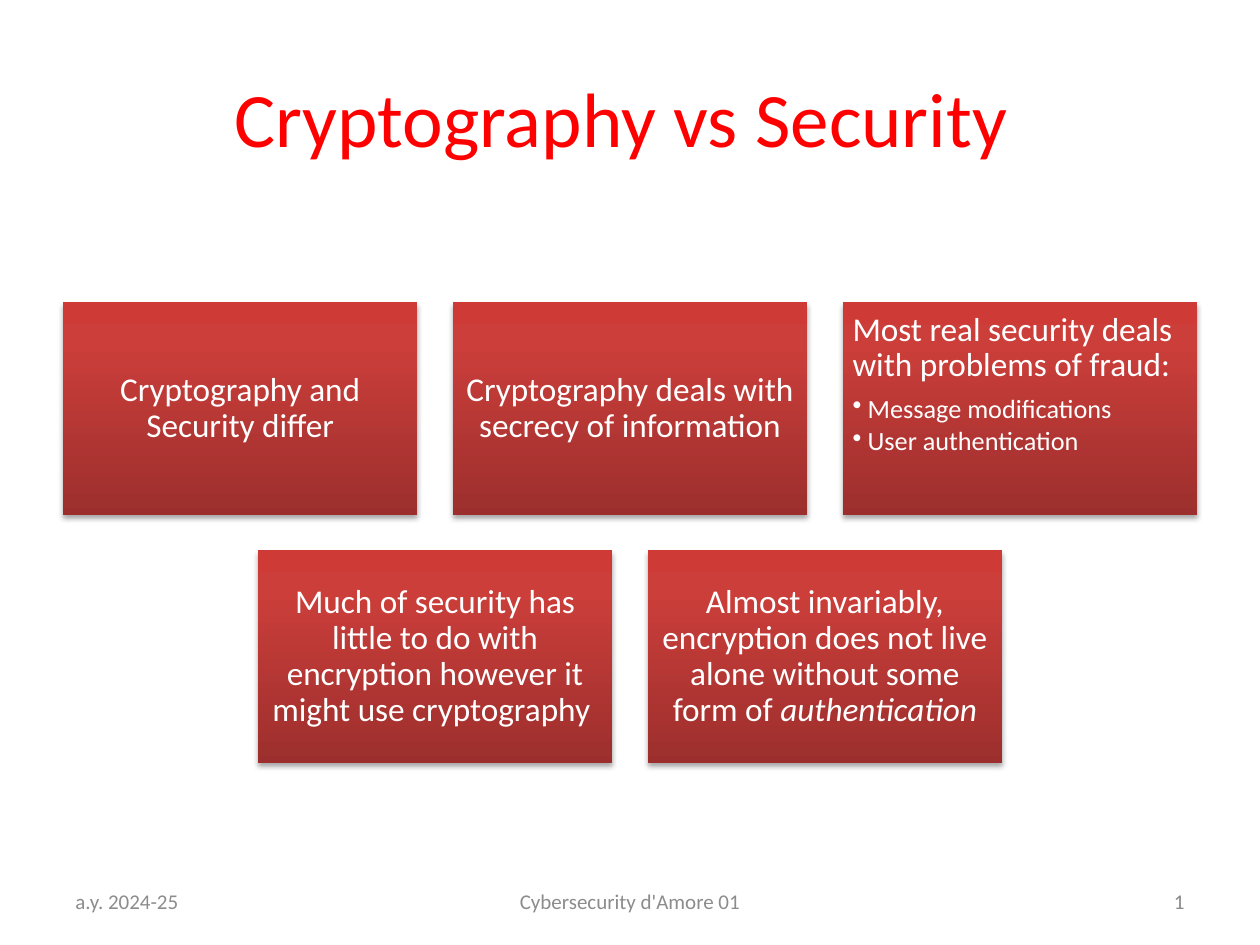
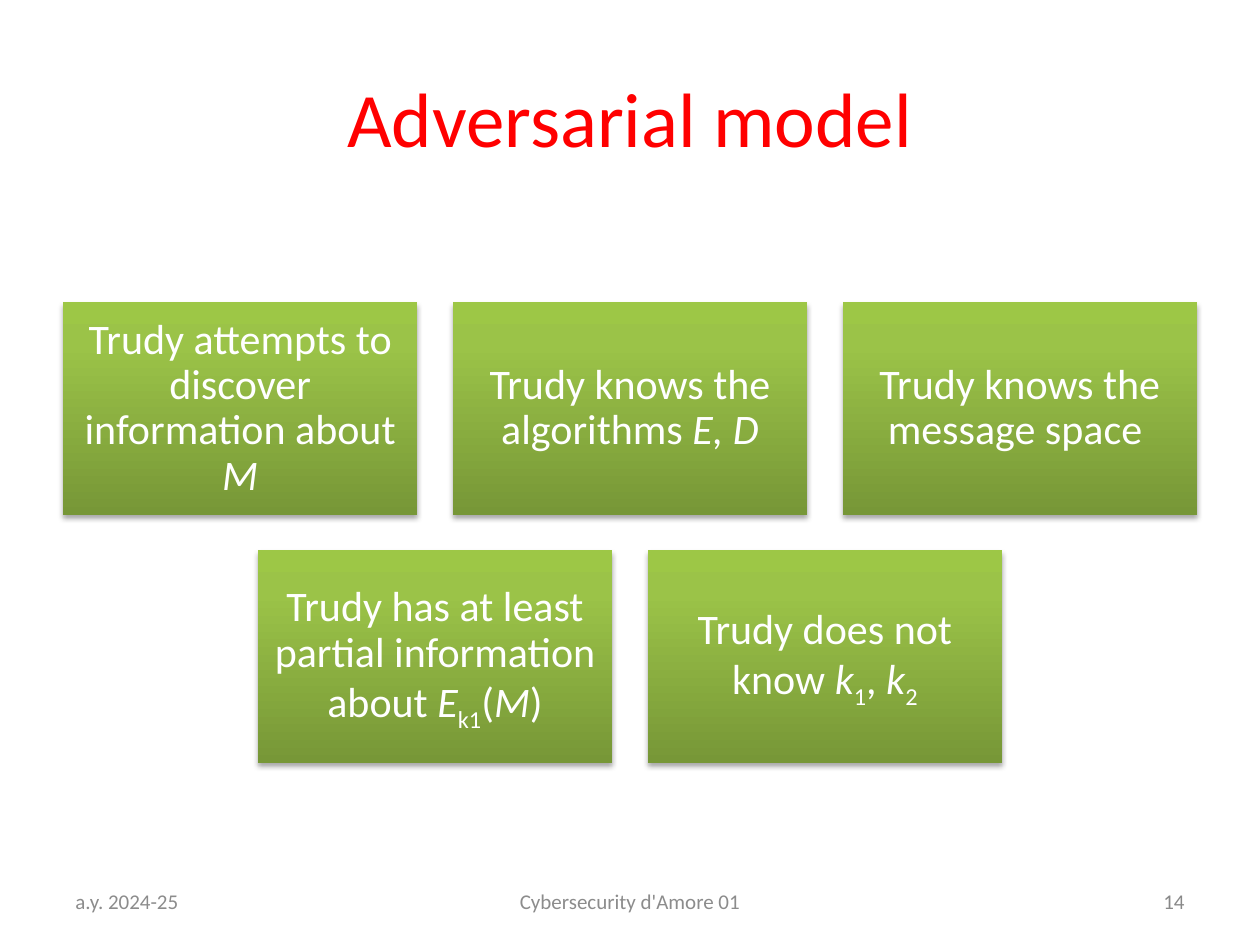
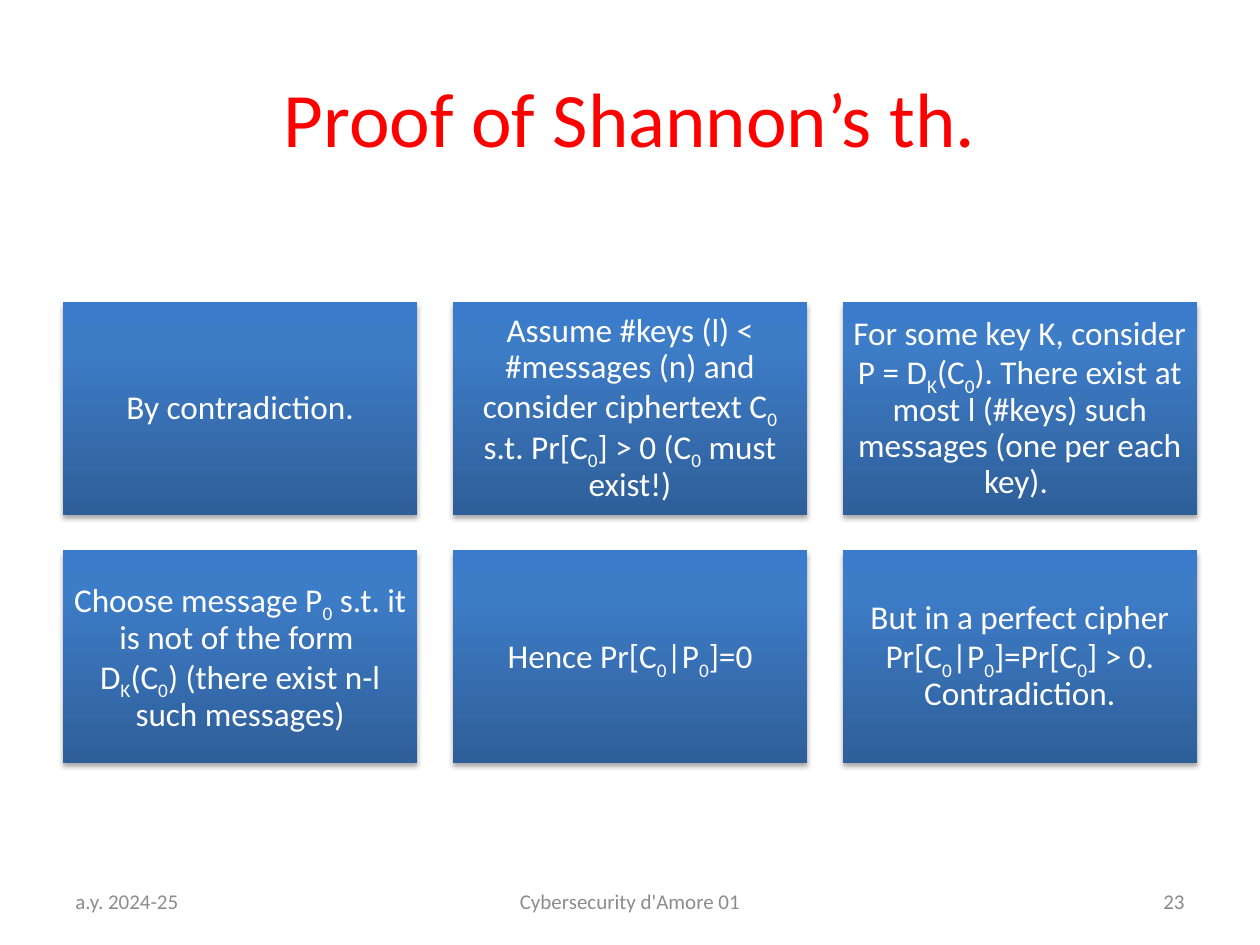
"""Build three cybersecurity slides, each a titled grid of gradient cards."""
import copy
import dataclasses

import lxml.etree
import pptx
import pptx.dml.color
import pptx.enum.shapes
import pptx.enum.text
import pptx.oxml.ns
import pptx.util

Inches, Pt = pptx.util.Inches, pptx.util.Pt
RGB = pptx.dml.color.RGBColor.from_string
ALIGN, ANCHOR = pptx.enum.text.PP_ALIGN, pptx.enum.text.MSO_ANCHOR
qn = pptx.oxml.ns.qn


@dataclasses.dataclass(frozen=True)
class Theme:
    font: str = "Calibri"
    title: str = "FF0000"
    footer: str = "8C8C8C"
    number: str = "898989"
    card_text: str = "FFFFFF"
    shadow: str = "000000"
    red: tuple = ("9C2F2D", "CB3E3A", "CE3B37")
    green: tuple = ("779737", "9BC348", "9DC746")
    blue: tuple = ("2F5F99", "3D7CC7", "3A7CCB")
    title_size: int = 44
    large_size: int = 24
    card_size: int = 19
    bullet_size: int = 15
    footer_size: int = 12


THEME = Theme()
WIDTH, HEIGHT = 10, 7.5
MARGIN = WIDTH * 0.05
CONTENT = WIDTH - 2 * MARGIN
COLUMNS = 3
CARD_W = CONTENT / (COLUMNS + 0.1 * (COLUMNS - 1))
CARD_H = 0.6 * CARD_W
GAP = 0.1 * CARD_W
GRID_TOP = HEIGHT * 0.32
STOPS = (0, 0.8, 1)

SLIDES = [
    ("Cryptography vs Security ", "1", THEME.red, THEME.card_size, [
        "Cryptography and Security differ",
        "Cryptography deals with secrecy of information",
        "Most real security deals with problems of fraud:•Message modifications•User authentication",
        "Much of security has little to do with encryption however it might use cryptography ",
        "Almost invariably, encryption does not live alone without some form of *authentication*",
    ]),
    ("Adversarial model", "14", THEME.green, THEME.large_size, [
        "Trudy attempts to discover information about *M*",
        "Trudy knows the algorithms *E, D*",
        "Trudy knows the message space ",
        "Trudy has at least partial information about *E*~k1~(*M*)",
        "Trudy does not know *k*~1~, *k*~2~",
    ]),
    ("Proof of Shannon’s th.", "23", THEME.blue, THEME.card_size, [
        "By contradiction.",
        "Assume #keys (l) < #messages (n) and consider ciphertext C~0 ~s.t. Pr[C~0~] > 0 (C~0~ must exist!)",
        "For some key K, consider P = D~K~(C~0~). There exist at most l (#keys) such messages (one per each key). ",
        "Choose message P~0~ s.t. it is not of the form \nD~K~(C~0~) (there exist n-l such messages)",
        "Hence Pr[C~0~|P~0~]=0",
        "But in a perfect cipher Pr[C~0~|P~0~]=Pr[C~0~] > 0. Contradiction.",
    ]),
]


def add_runs(p, text, size, color):
    """Add text run by run; ~ toggles subscript and * toggles italic."""
    for i, part in enumerate(text.split("~")):
        for j, piece in enumerate(part.split("*")):
            for k, line in enumerate(piece.split("\n")):
                if k:
                    p.add_line_break()
                if not line:
                    continue
                r = p.add_run()
                r.text = line
                r.font.name, r.font.size = THEME.font, Pt(size)
                r.font.color.rgb = RGB(color)
                if j % 2:
                    r.font.italic = True
                if i % 2:
                    r.font._element.set("baseline", "-25000")


def add_card(slide, left, top, colors):
    """Add a gradient rectangle with a soft shadow."""
    sp = slide.shapes.add_shape(pptx.enum.shapes.MSO_SHAPE.RECTANGLE,
                                Inches(left), Inches(top), Inches(CARD_W), Inches(CARD_H))
    sp.line.fill.background()
    sp.fill.gradient()
    sp.fill.gradient_angle = 90
    stop_list = sp._element.spPr.find(".//" + qn("a:gsLst"))
    stop_list.append(copy.deepcopy(stop_list[-1]))
    for stop, position, color in zip(sp.fill.gradient_stops, STOPS, colors):
        stop.position, stop.color.rgb = position, RGB(color)
    sp.shadow.inherit = False
    shadow = lxml.etree.SubElement(sp._element.spPr.find(qn("a:effectLst")), qn("a:outerShdw"),
                                   blurRad=str(Pt(3.1)), dist=str(Pt(1.8)),
                                   dir="5400000", rotWithShape="0")
    shade = lxml.etree.SubElement(shadow, qn("a:srgbClr"), val=THEME.shadow)
    lxml.etree.SubElement(shade, qn("a:alpha"), val="35000")
    return sp


prs = pptx.Presentation()
prs.slide_width, prs.slide_height = Inches(WIDTH), Inches(HEIGHT)

for title, number, colors, size, cards in SLIDES:
    slide = prs.slides.add_slide(prs.slide_layouts[5])
    sp = slide.shapes.title
    sp.left, sp.top = Inches(MARGIN), Inches(HEIGHT * 0.04)
    sp.width, sp.height = Inches(CONTENT), Inches(HEIGHT / 6)
    sp.text_frame.vertical_anchor = ANCHOR.MIDDLE
    p = sp.text_frame.paragraphs[0]
    p.alignment = ALIGN.CENTER
    add_runs(p, title, THEME.title_size, THEME.title)

    side = WIDTH * 7 / 30
    middle = WIDTH * 19 / 60
    for text, left, width, align, color in (
            ("a.y. 2024-25", MARGIN, side, ALIGN.LEFT, THEME.footer),
            ("Cybersecurity d'Amore 01", (WIDTH - middle) / 2, middle, ALIGN.CENTER, THEME.footer),
            (number, WIDTH - MARGIN - side, side, ALIGN.RIGHT, THEME.number)):
        sp = slide.shapes.add_textbox(Inches(left), Inches(6.95), Inches(width), Inches(0.4))
        tf = sp.text_frame
        tf.word_wrap, tf.vertical_anchor = True, ANCHOR.MIDDLE
        p = tf.paragraphs[0]
        p.alignment = align
        add_runs(p, text, THEME.footer_size, color)

    for index, card in enumerate(cards):
        row, column = divmod(index, COLUMNS)
        in_row = min(COLUMNS, len(cards) - row * COLUMNS)
        left = MARGIN + (column + (COLUMNS - in_row) / 2) * (CARD_W + GAP)
        sp = add_card(slide, left, GRID_TOP + row * (CARD_H + GAP), colors)
        lead, *bullets = card.split("•")
        tf = sp.text_frame
        tf.word_wrap = True
        tf.vertical_anchor = ANCHOR.TOP if bullets else ANCHOR.MIDDLE
        tf.margin_left = tf.margin_right = tf.margin_top = tf.margin_bottom = Pt(0.3 * size)
        p = tf.paragraphs[0]
        p.alignment = ALIGN.LEFT if bullets else ALIGN.CENTER
        p.line_spacing, p.space_after = 0.9, Pt(0.35 * size)
        add_runs(p, lead, size, THEME.card_text)
        for bullet in bullets:
            p = tf.add_paragraph()
            p.level, p.alignment = 1, ALIGN.LEFT
            p.line_spacing, p.space_after = 0.9, Pt(0.15 * THEME.bullet_size)
            pPr = p._p.get_or_add_pPr()
            pPr.set("marL", str(Inches(0.12)))
            pPr.set("indent", str(-Inches(0.12)))
            lxml.etree.SubElement(pPr, qn("a:buChar"), char="•")
            add_runs(p, bullet, THEME.bullet_size, THEME.card_text)

prs.save("out.pptx")
